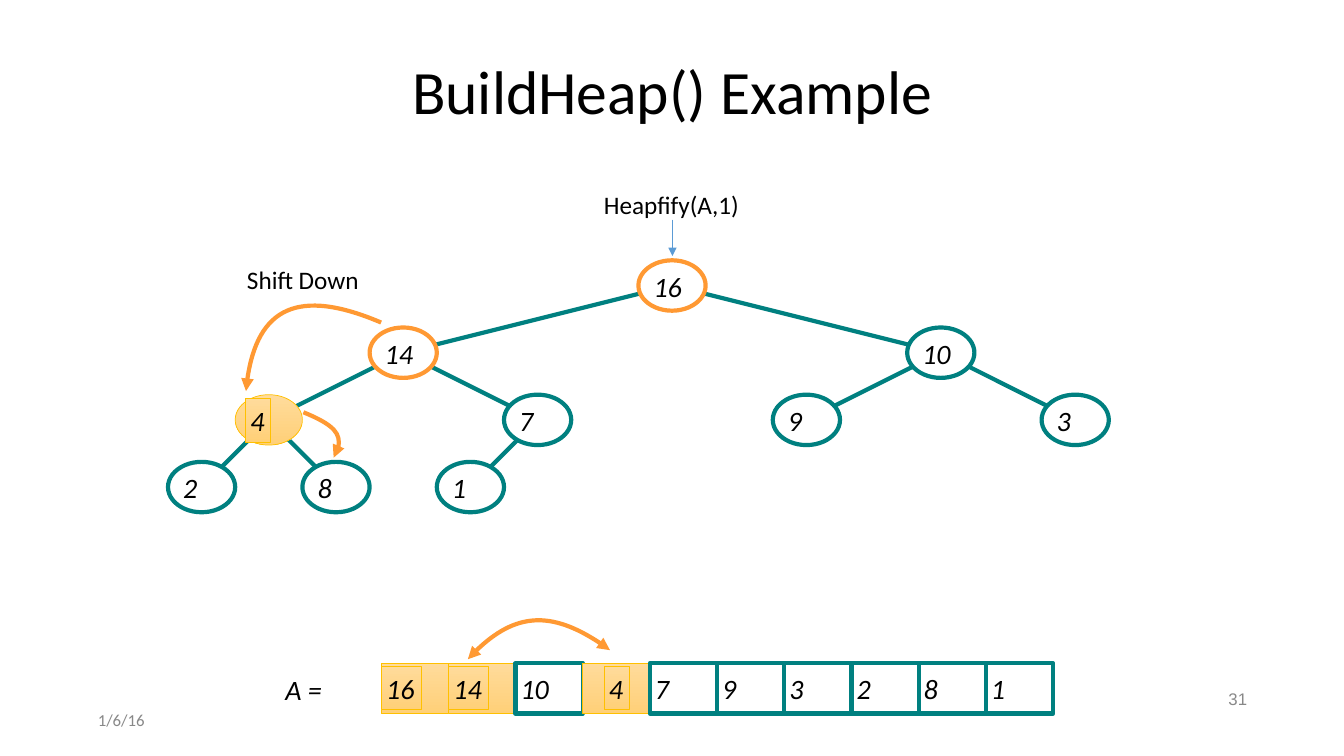
from dataclasses import dataclass
from math import hypot

from lxml.etree import SubElement
from pptx import Presentation
from pptx.dml.color import RGBColor as Rgb
from pptx.enum.shapes import MSO_CONNECTOR as Connector, MSO_SHAPE as Shape
from pptx.enum.text import MSO_ANCHOR as Anchor, MSO_AUTO_SIZE as AutoSize, PP_ALIGN as Align
from pptx.oxml.ns import qn
from pptx.util import Inches, Pt


@dataclass(frozen=True)
class Theme:
    font: str = "Calibri"
    ink: str = "000000"
    grey: str = "888888"
    paper: str = "FFFFFF"
    teal: str = "008080"
    orange: str = "FF9933"
    gold: str = "FFC000"
    blue: str = "5B9BD5"
    glow: tuple = ("FFDB9B", "FFD078")
    title: int = 44
    value: int = 20
    label: int = 18
    footer: int = 12
    thick: float = 3
    thin: float = 0.5


theme = Theme()
deck = Presentation()
deck.slide_width, deck.slide_height = Inches(13.33), Inches(7.5)
page = deck.slides.add_slide(deck.slide_layouts[5])
unit = 13.33 / 20  # one grid column
node_height = 0.5


def style(shape, fill=None, line=theme.teal, width=theme.thick):
    """Fill with a colour, a pair of gradient colours or nothing, and outline."""
    shape.shadow.inherit = False
    if fill is None:
        shape.fill.background()
    elif isinstance(fill, tuple):
        shape.fill.gradient()
        shape.fill.gradient_angle = 270
        for stop, color in zip(shape.fill.gradient_stops, fill):
            stop.color.rgb = Rgb.from_string(color)
    else:
        shape.fill.solid()
        shape.fill.fore_color.rgb = Rgb.from_string(fill)
    shape.line.color.rgb = Rgb.from_string(line)
    shape.line.width = Pt(width)


def add_text(text, left, top, width, height, size=theme.value, color=theme.ink, italic=False,
             font=theme.font, align=Align.LEFT, anchor=Anchor.MIDDLE, wrap=False,
             spacing=1.0, glow=False, box=None):
    area = [Inches(length) for length in (left, top, width, height)]
    if box is not None:
        box.left, box.top, box.width, box.height = area
    elif glow:
        box = page.shapes.add_shape(Shape.RECTANGLE, *area)
        style(box, theme.glow, theme.gold, theme.thin)
    else:
        box = page.shapes.add_textbox(*area)
    frame = box.text_frame
    frame.margin_left = frame.margin_right = Inches(0.05)
    frame.margin_top = frame.margin_bottom = Inches(0.05)
    frame.word_wrap = wrap
    frame.auto_size = AutoSize.NONE if wrap else AutoSize.SHAPE_TO_FIT_TEXT
    frame.vertical_anchor = anchor
    para = frame.paragraphs[0]
    para.alignment, para.line_spacing = align, spacing
    span = para.add_run()
    span.text = text
    span.font.name, span.font.size, span.font.italic = font, Pt(size), italic
    span.font.color.rgb = Rgb.from_string(color)


add_text("BuildHeap() Example", 0.92, 0.4, 11.5, 1.07, size=theme.title, align=Align.CENTER,
         wrap=True, spacing=0.9, box=page.shapes.title)
add_text("1/6/16", 0.92, 7, 3, 0.29, size=theme.footer, color=theme.grey, wrap=True)
add_text("31", 9.42, 6.8, 3, 0.29, size=theme.footer, color=theme.grey, font="Arial",
         align=Align.RIGHT, wrap=True, spacing=0.9)
add_text("Heapfify(A,1)", 5.94, 1.83, 1.45, 0.41, size=theme.label, anchor=Anchor.TOP)
add_text("Shift Down", 2.4, 2.57, 1.23, 0.41, size=theme.label, anchor=Anchor.TOP)
add_text("A =", 2.78, 6.62, 0.48, 0.43, italic=True)

# The heap in level order: the array and the tree show the same values
heap = ["16", "14", "10", "4", "7", "9", "3", "2", "8", "1"]
glowing_cells = {0, 1, 3}
swapped_nodes = {0, 1}
sifted_node = 3

centers = []
for index in range(len(heap)):
    level = (index + 1).bit_length() - 1
    place = index + 1 - 2 ** level
    centers.append((unit * (2 + 16 / 2 ** level * (place + 0.5)), unit * (4.25 + level)))

# Edges run from outline to outline; those of the sifted node reach its centre
lines = [((6.67, 2.18), (6.67, 2.54), theme.blue, 1, True)]
for child in range(1, len(heap)):
    parent = (child - 1) // 2
    (x1, y1), (x2, y2) = centers[parent], centers[child]
    trim = 1 / hypot((x2 - x1) / (unit / 2), (y2 - y1) / (node_height / 2))
    start = 0 if parent == sifted_node else trim
    end = 1 if child == sifted_node else 1 - trim
    ends = [(x1 + (x2 - x1) * share, y1 + (y2 - y1) * share) for share in (start, end)]
    lines.append((*ends, theme.teal, theme.thick, False))

for start, end, color, width, arrow in lines:
    link = page.shapes.add_connector(Connector.STRAIGHT, *map(Inches, (*start, *end)))
    link.line.color.rgb = Rgb.from_string(color)
    link.line.width = Pt(width)
    properties = link.element.spPr
    if arrow:
        SubElement(properties.find(qn("a:ln")), qn("a:tailEnd"), type="triangle")
    SubElement(properties, qn("a:effectLst"))

for index, (value, (x, y)) in enumerate(zip(heap, centers)):
    glow = index == sifted_node
    left = x - unit / 2
    node = page.shapes.add_shape(Shape.OVAL, Inches(left), Inches(y - node_height / 2),
                                 Inches(unit), Inches(node_height))
    if glow:
        style(node, theme.glow, theme.gold, theme.thin)
    else:
        style(node, theme.paper, theme.orange if index in swapped_nodes else theme.teal)
    text_width = 0.4 if len(value) > 1 else 0.25
    add_text(value, left + 0.1, y - 0.21, text_width, 0.43, italic=True, glow=glow)

array_left, array_top = 3.78, 6.58
for index, value in enumerate(heap):
    glow = index in glowing_cells
    left = array_left + index * unit
    cell = page.shapes.add_shape(Shape.RECTANGLE, Inches(left), Inches(array_top),
                                 Inches(unit), Inches(node_height))
    if glow:
        style(cell, theme.glow, theme.gold, theme.thin)
    else:
        style(cell)
    text_width = 0.4 if len(value) > 1 else 0.25
    indent = 0.21 if index == sifted_node else 0
    add_text(value, left + indent, array_top + 0.03, text_width, 0.43, italic=True, glow=glow)

# Swap arrows: start, two control points, end, and whether both ends have a head
swaps = [
    ((4.64, 6.54), (5.05, 6.08), (5.52, 6.05), (6.05, 6.45), True),
    ((3.78, 3.2), (2.96, 2.85), (2.51, 3.07), (2.44, 3.88), False),
    ((3.01, 4.09), (3.33, 4.22), (3.43, 4.37), (3.31, 4.54), False),
]
for *anchors, two_headed in swaps:
    samples = []
    for step in range(21):
        t = step / 20
        weights = ((1 - t) ** 3, 3 * t * (1 - t) ** 2, 3 * t ** 2 * (1 - t), t ** 3)
        samples.append(tuple(Inches(sum(w * point[axis] for w, point in zip(weights, anchors)))
                             for axis in (0, 1)))
    builder = page.shapes.build_freeform(*samples[0])
    builder.add_line_segments(samples[1:], close=False)
    curve = builder.convert_to_shape()
    style(curve, line=theme.orange)
    properties = curve.element.spPr
    outline = next(properties.iter(qn("a:path")))
    for segment in outline.findall(qn("a:lnTo")):
        outline.remove(segment)
    bezier = SubElement(outline, qn("a:cubicBezTo"))
    for x, y in anchors[1:]:
        SubElement(bezier, qn("a:pt"), x=str(Inches(x) - curve.left), y=str(Inches(y) - curve.top))
    stroke = properties.find(qn("a:ln"))
    if two_headed:
        SubElement(stroke, qn("a:headEnd"), type="triangle")
    SubElement(stroke, qn("a:tailEnd"), type="triangle")

deck.save("out.pptx")
